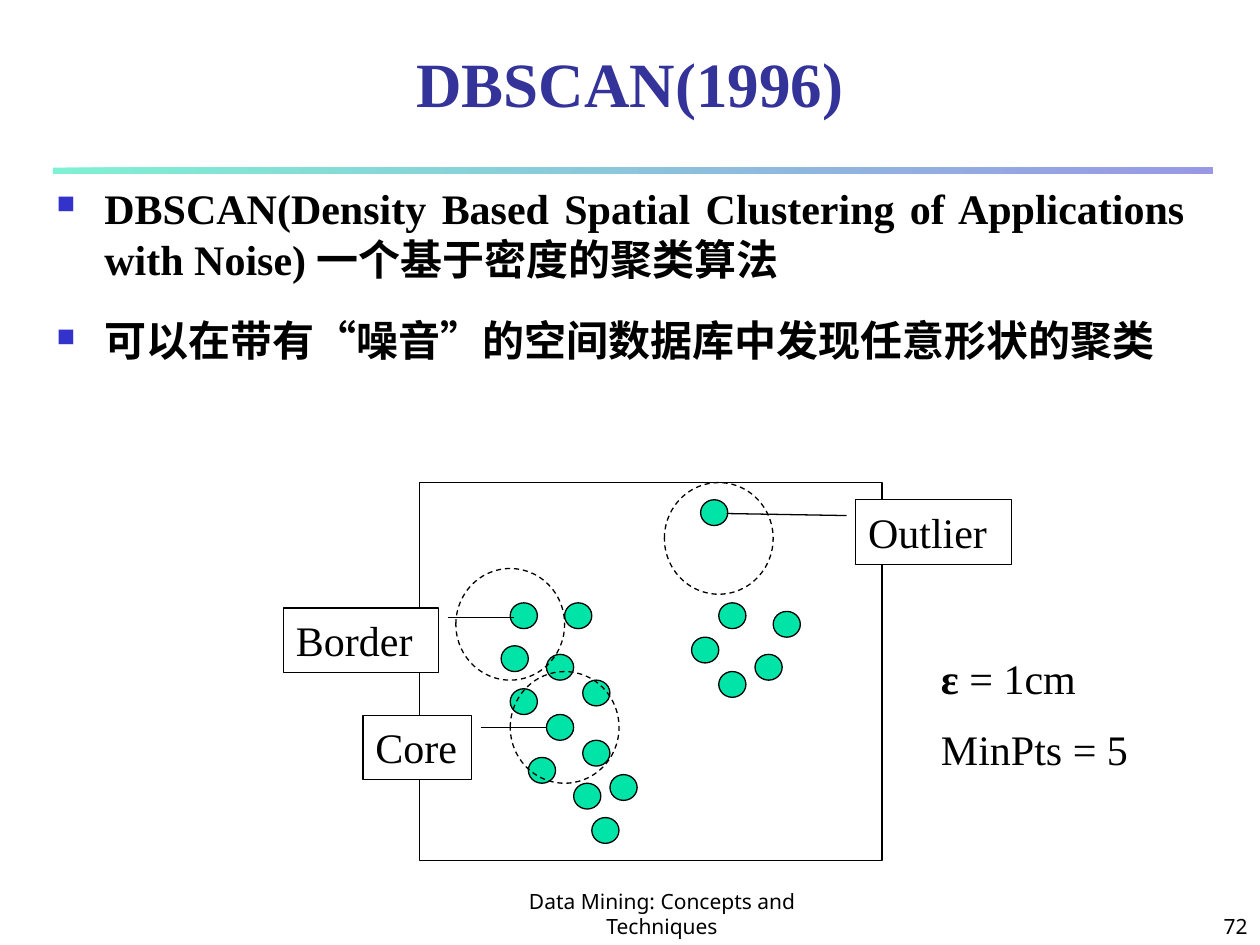
"""Builds the slide that introduces DBSCAN with a clustering diagram."""
from dataclasses import dataclass

from lxml import etree
from pptx import Presentation
from pptx.dml.color import RGBColor
from pptx.enum.dml import MSO_LINE
from pptx.enum.shapes import MSO_SHAPE
from pptx.enum.text import MSO_ANCHOR, PP_ALIGN
from pptx.oxml.ns import qn
from pptx.util import Inches, Pt

RECTANGLE, OVAL = MSO_SHAPE.RECTANGLE, MSO_SHAPE.OVAL
CALLOUT = MSO_SHAPE.LINE_CALLOUT_1
DASH = MSO_LINE.DASH
TOP, BOTTOM = MSO_ANCHOR.TOP, MSO_ANCHOR.BOTTOM
LEFT, CENTER, RIGHT, JUSTIFY = PP_ALIGN.LEFT, PP_ALIGN.CENTER, PP_ALIGN.RIGHT, PP_ALIGN.JUSTIFY


@dataclass(frozen=True)
class Theme:
    """Colours, fonts and type sizes of the slide."""
    title: str = "333399"
    text: str = "000000"
    paper: str = "FFFFFF"
    dot: str = "00E4A8"
    bullet: str = "3333CC"
    serif: str = "Times New Roman"
    sans: str = "Noto Sans"
    title_size: int = 36
    body_size: int = 24
    footer_size: int = 12
    line_width: float = 0.75


@dataclass(frozen=True)
class Grid:
    """Fine grid of the diagram, counted from the corner of its frame."""
    left: float = 3.33
    top: float = 3.83
    column: float = 3.67 / 51
    row: float = 3 / 44

    def box(self, column, row, columns, rows):
        """Return a box in inches for a place and size in cells."""
        return (self.left + column * self.column, self.top + row * self.row,
                columns * self.column, rows * self.row)


THEME = Theme()
GRID = Grid()

FRAME = (0, 0, 51, 44)
DOT_CELLS = 3
DOTS = [
    (10, 14), (9, 19), (14, 20), (16, 14), (18, 23), (10, 24), (14, 27),
    (12, 32), (17, 35), (19, 39), (18, 30), (21, 34),
    (31, 2), (33, 14), (30, 18), (37, 20), (39, 15), (33, 22),
]
NEIGHBOURHOODS = [(4, 10), (10, 22), (27, 0)]
CALLOUTS = [
    ("Core", (-6.25, 27.1, 12, 7.5), (0.188, 1.083, 0.188, 1.688)),
    ("Border", (-15, 14.6, 17.1, 7.5), (0.145, 1.059, 0.145, 1.485)),
    ("Outlier", (48.1, 2, 17.2, 7.5), (0.245, -0.058, 0.214, -0.828)),
]
BODY = [
    "DBSCAN(Density Based Spatial Clustering of Applications with Noise) 一个基于密度的聚类算法",
    "可以在带有“噪音”的空间数据库中发现任意形状的聚类 ",
]
PARAMETERS = [[("ε ", True), ("= 1cm", False)], [("MinPts = 5", False)]]


def add_paragraphs(frame, paragraphs, size, font=THEME.serif, color=THEME.text,
                   align=LEFT, before=0):
    """Write paragraphs of (text, bold) runs and return them."""
    for index, runs in enumerate(paragraphs):
        paragraph = frame.add_paragraph() if index else frame.paragraphs[0]
        paragraph.alignment = align
        paragraph.space_before = Pt(before)
        for text, bold in runs:
            run = paragraph.add_run()
            run.text = text
            run.font.name, run.font.size, run.font.bold = font, Pt(size), bold
            run.font.color.rgb = RGBColor.from_string(color)
    return frame.paragraphs


def add_text(slide, box, paragraphs, size, anchor=TOP, **style):
    """Add a wrapping text box and return its paragraphs."""
    frame = slide.shapes.add_textbox(*map(Inches, box)).text_frame
    frame.word_wrap = True
    frame.vertical_anchor = anchor
    return add_paragraphs(frame, paragraphs, size, **style)


def add_bullet(paragraph, indent=0.38):
    """Give a paragraph a small square bullet with a hanging indent."""
    properties = paragraph._p.get_or_add_pPr()
    properties.set("marL", str(Inches(indent)))
    properties.set("indent", str(-Inches(indent)))
    color = etree.SubElement(properties, qn("a:buClr"))
    etree.SubElement(color, qn("a:srgbClr"), val=THEME.bullet)
    etree.SubElement(properties, qn("a:buSzPct"), val="60000")
    etree.SubElement(properties, qn("a:buChar"), char="■")


def add_outlined(slide, kind, cells, fill=None, dash=None):
    """Add a thinly outlined shape placed on the diagram grid."""
    shape = slide.shapes.add_shape(kind, *map(Inches, GRID.box(*cells)))
    shape.shadow.inherit = False
    if fill:
        shape.fill.solid()
        shape.fill.fore_color.rgb = RGBColor.from_string(fill)
    else:
        shape.fill.background()
    shape.line.color.rgb = RGBColor.from_string(THEME.text)
    shape.line.width = Pt(THEME.line_width)
    if dash:
        shape.line.dash_style = dash
    return shape


def add_callout(slide, label, cells, adjustments):
    """Add a labelled box with a leader line."""
    shape = add_outlined(slide, CALLOUT, cells, THEME.paper)
    for index, value in enumerate(adjustments):
        shape.adjustments[index] = value
    shape.text_frame.vertical_anchor = TOP
    add_paragraphs(shape.text_frame, [[(label, False)]], THEME.body_size)


def add_rule(slide, box):
    """Add the half-transparent gradient rule below the title."""
    rule = slide.shapes.add_shape(RECTANGLE, *map(Inches, box))
    rule.shadow.inherit = False
    rule.line.fill.background()
    rule.fill.gradient()
    rule.fill.gradient_angle = 0
    for position, (stop, color) in enumerate(zip(rule.fill.gradient_stops, (THEME.dot, THEME.bullet))):
        stop.position = position
        stop.color.rgb = RGBColor.from_string(color)
    for color in rule._element.spPr.find(qn("a:gradFill")).iter(qn("a:srgbClr")):
        etree.SubElement(color, qn("a:alpha"), val="50000")


def add_diagram(slide):
    """Draw the points, their neighbourhoods and the callouts."""
    for column, row in DOTS:
        add_outlined(slide, OVAL, (column, row, DOT_CELLS, DOT_CELLS), THEME.dot)
    add_outlined(slide, RECTANGLE, FRAME)
    for column, row in NEIGHBOURHOODS:
        add_outlined(slide, OVAL, (column, row, 12, 13), dash=DASH)
    for callout in CALLOUTS:
        add_callout(slide, *callout)


def main():
    """Build and save the presentation."""
    presentation = Presentation()
    presentation.slide_width, presentation.slide_height = Inches(10), Inches(7.5)
    slide = presentation.slides.add_slide(presentation.slide_layouts[6])
    add_rule(slide, (0.42, 1.33, 9.2, 0.05))
    footer = {"size": THEME.footer_size, "font": THEME.sans, "anchor": BOTTOM}
    add_text(slide, (3.67, 7.08, 3.17, 0.42),
             [[("Data Mining: Concepts and Techniques", False)]], align=CENTER, **footer)
    add_text(slide, (7.92, 7.08, 2.08, 0.42), [[("72", False)]], align=RIGHT, **footer)
    add_text(slide, (0, 0.34, 10, 0.66), [[("DBSCAN(1996)", True)]], THEME.title_size,
             anchor=BOTTOM, color=THEME.title, align=CENTER)
    body = add_text(slide, (0.35, 1.4, 9.15, 2.35), [[(text, True)] for text in BODY],
                    THEME.body_size, align=JUSTIFY, before=18)
    for paragraph in body:
        add_bullet(paragraph)
    add_diagram(slide)
    add_text(slide, (7.37, 5.13, 1.8, 1.11), PARAMETERS, THEME.body_size, before=12)
    presentation.save("out.pptx")


if __name__ == "__main__":
    main()
